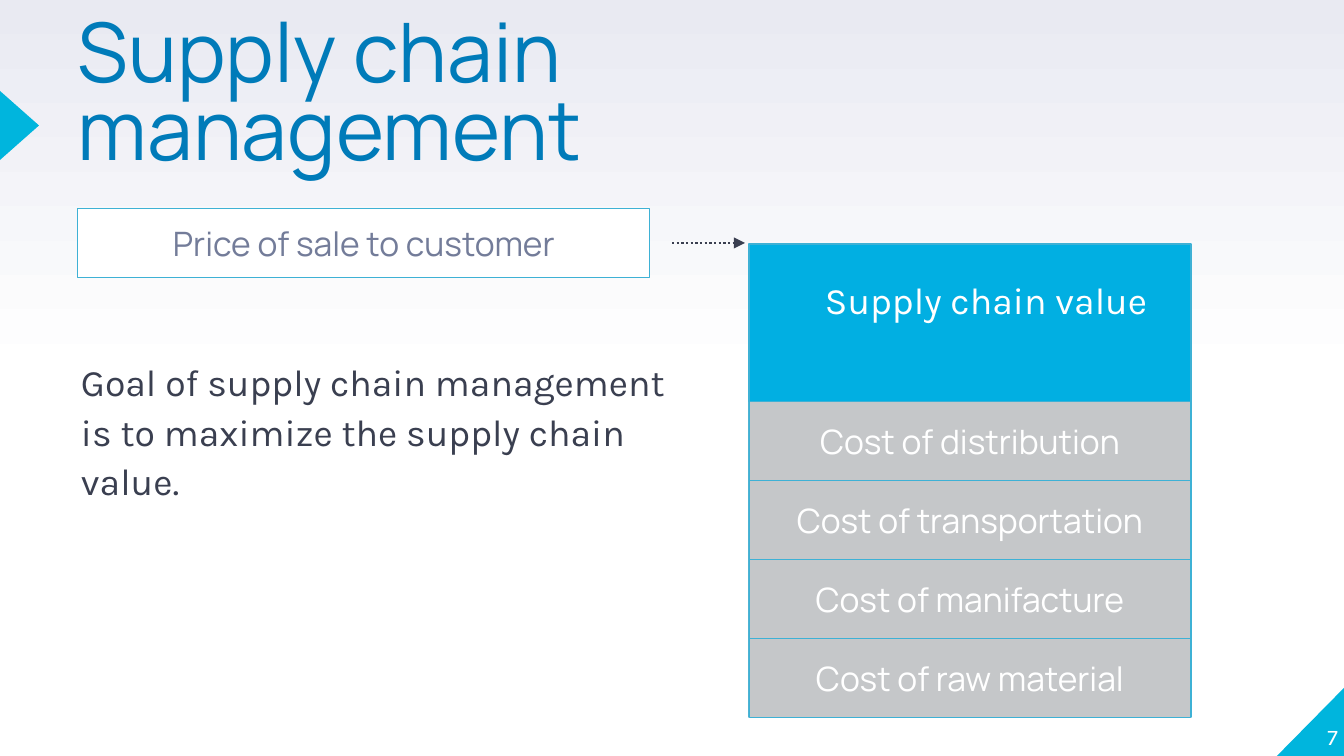
from copy import deepcopy

from lxml.etree import SubElement
from pptx import Presentation
from pptx.dml.color import RGBColor
from pptx.enum.dml import MSO_LINE
from pptx.enum.shapes import MSO_CONNECTOR, MSO_SHAPE
from pptx.enum.text import MSO_ANCHOR, MSO_AUTO_SIZE, PP_ALIGN
from pptx.oxml.ns import qn
from pptx.util import Pt

PX = 914400 / 134.4
HUES = {
    "white": "FFFFFF", "mist": "E9EAF2", "teal": "00B5DD", "sky": "01AFE2",
    "edge": "3EB1D5", "grey": "C5C7C9", "title": "007BB9", "ink": "3A3F50",
    "slate": "737C99",
}


def hue(name):
    return RGBColor.from_string(HUES[name])


def put(shape, text, size=18, font="Manrope", color="white", align=PP_ALIGN.LEFT,
        anchor=MSO_ANCHOR.TOP, pad=(0, 0), space=None, before=0, indent=None):
    """Fill a shape with one formatted paragraph; a newline is a line break."""
    frame = shape.text_frame
    frame.word_wrap = True
    frame.auto_size = MSO_AUTO_SIZE.NONE
    frame.vertical_anchor = anchor
    frame.margin_left = frame.margin_right = round(pad[0] * PX)
    frame.margin_top = frame.margin_bottom = round(pad[1] * PX)
    para = frame.paragraphs[0]
    para.text = text.replace("\n", "\v")
    para.alignment = align
    para.line_spacing = space
    para.space_before = Pt(before)
    for run in para.runs:
        run.font.size = Pt(size)
        run.font.name = font
        run.font.color.rgb = hue(color)
    if indent is not None:
        props = para._p.get_or_add_pPr()
        props.set("marL", str(round(indent * PX)))
        props.set("indent", "0")
        SubElement(props, qn("a:buNone"))


deck = Presentation()
deck.slide_width, deck.slide_height = round(1344 * PX), round(756 * PX)
slide = deck.slides.add_slide(deck.slide_layouts[3])
shapes = slide.shapes
title, goal, value = slide.placeholders

# Background: white to the middle, then a tint towards the top
fill = slide.background.fill
fill.gradient()
fill.gradient_angle = 90
for stop, (name, place) in zip(fill.gradient_stops, [("white", 0.5), ("mist", 1)]):
    stop.color.rgb = hue(name)
    stop.position = place
mid = slide.background._cSld.find(".//" + qn("a:gs"))
first = deepcopy(mid)
first.set("pos", "0")
mid.addprevious(first)

# Plain shapes: kind, box, fill, line width
forms = [
    (MSO_SHAPE.RIGHT_TRIANGLE, (1277, 687, 68, 69), "teal", 0),
    (MSO_SHAPE.ISOSCELES_TRIANGLE, (-15, 106, 69, 39), "teal", 0),
    (MSO_SHAPE.RECTANGLE, (749, 244, 442, 473), "sky", 1),
    (MSO_SHAPE.RECTANGLE, (78, 208, 572, 70), "white", 0.5),
]
costs = ["distribution", "transportation", "manifacture", "raw material"]
for row in range(len(costs)):
    forms.append((MSO_SHAPE.RECTANGLE, (749, 402 + 79 * row, 442, 79), "grey", 0.5))

made = []
for kind, box, color, width in forms:
    shape = shapes.add_shape(kind, *[round(n * PX) for n in box])
    shape.shadow.inherit = False
    shape.fill.solid()
    shape.fill.fore_color.rgb = hue(color)
    if width:
        shape.line.color.rgb = hue("edge")
        shape.line.width = Pt(width)
    else:
        shape.line.fill.background()
    made.append(shape)
corner, marker, stack, price, *cells = made
corner._element.spPr.find(qn("a:xfrm")).set("flipH", "1")
marker.rotation = 90

label = dict(align=PP_ALIGN.CENTER, anchor=MSO_ANCHOR.MIDDLE, pad=(10, 5))
put(price, "Price of sale to customer", color="slate", **label)
for cell, cost in zip(cells, costs):
    put(cell, f"Cost of {cost}", **label)

# Title, body texts and page number
page = shapes.add_textbox(0, 0, 0, 0)
for shape, box in [(title, (78, 19, 1145, 159)), (goal, (65, 355, 618, 125)),
                   (value, (809, 273, 340, 74)), (page, (1271, 681, 67, 69))]:
    shape.left, shape.top, shape.width, shape.height = [round(n * PX) for n in box]
    shapes._spTree.append(shape._element)  # bring to front

body = dict(size=20, font="Karla", space=1.1, before=6, indent=16)
put(title, "Supply chain \nmanagement", size=44, color="title", space=0.8)
put(goal, "Goal of supply chain management is to maximize the supply chain value.",
    color="ink", **body)
put(value, "Supply chain value", **body)
put(page, "7", size=12, font="Karla", align=PP_ALIGN.RIGHT, anchor=MSO_ANCHOR.BOTTOM)

# Dotted arrow from the price to the stack
arrow = shapes.add_connector(
    MSO_CONNECTOR.STRAIGHT, *[round(n * PX) for n in (672, 243, 745, 243)])
arrow.line.color.rgb = hue("ink")
arrow.line.width = Pt(1.25)
arrow.line.dash_style = MSO_LINE.ROUND_DOT
SubElement(arrow.line._get_or_add_ln(), qn("a:tailEnd"), type="triangle")
SubElement(arrow._element.spPr, qn("a:effectLst"))

deck.save("out.pptx")
